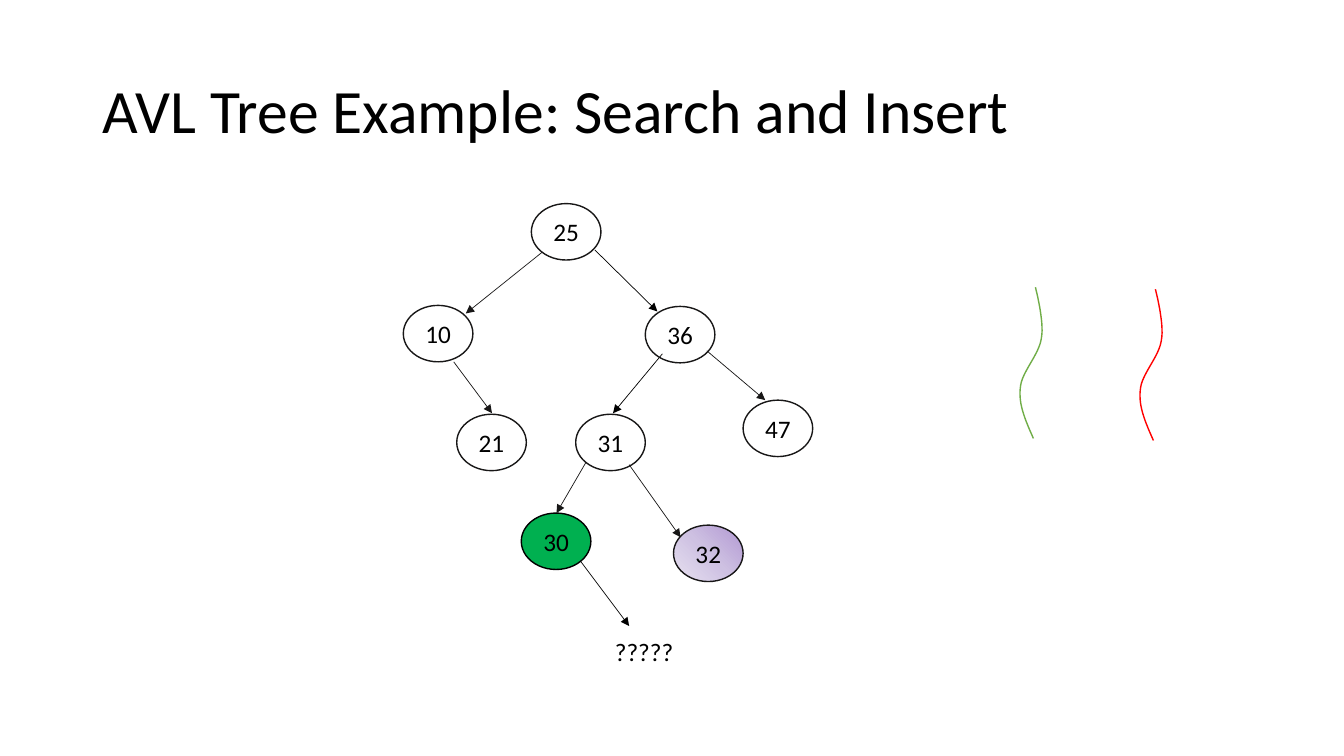
from copy import deepcopy
from pptx import Presentation
from pptx import util as u
from pptx.dml.color import RGBColor
from pptx.enum import shapes as sh, text as tx
from pptx.oxml.ns import qn
from pptx.oxml.xmlchemy import OxmlElement

BLACK = RGBColor(0, 0, 0)
INK = RGBColor(0x18, 0x17, 0x17)
GREEN = RGBColor(0x00, 0xB0, 0x50)
LEAF = RGBColor(0x70, 0xAD, 0x47)
RED = RGBColor(0xFF, 0, 0)
LILAC = [RGBColor(0xB1, 0x97, 0xD2), RGBColor(0xCE, 0xC1, 0xE2),
         RGBColor(0xE7, 0xE1, 0xF0)]
NODE_W, NODE_H = 0.69, 0.56

# Key: left, top within the tree box, fill, line colour
NODES = {
    "25": (1.27, 0, None, INK),
    "36": (2.4, 1.02, None, INK),
    "10": (0, 1.01, None, INK),
    "30": (1.17, 3.07, GREEN, BLACK),
    "32": (2.68, 3.19, LILAC, INK),
    "47": (3.37, 1.95, None, INK),
    "21": (0.53, 2.09, None, INK),
    "31": (1.71, 2.09, None, INK),
}
# Start and end within the tree box, colour
EDGES = [
    (1.38, 0.48, 0.62, 1.09, INK),
    (1.9, 0.46, 2.52, 1.07, BLACK),
    (3.01, 1.46, 3.59, 1.95, INK),
    (2.24, 2.59, 2.75, 3.31, INK),
    (2.57, 1.49, 2.08, 2.08, BLACK),
    (0.5, 1.57, 0.88, 2.08, INK),
    (1.81, 2.57, 1.52, 3.07, INK),
    (1.76, 3.55, 2.24, 4.19, BLACK),
]
# Cubic segments of a wavy stroke within its box
WAVE = [
    ((0.13, 1.5), (0.06, 1.34), (-0.02, 1.17), (0, 1)),
    ((0, 1), (0.01, 0.84), (0.19, 0.67), (0.21, 0.5)),
    ((0.21, 0.5), (0.24, 0.34), (0.15, 0), (0.15, 0)),
]


def assign(obj, vals):
    for key, val in vals.items():
        setattr(obj, key, val)


def write(frame, words, size=18, **para):
    frame.text = words
    par = frame.paragraphs[0]
    assign(par, para)
    assign(par.font, {"size": u.Pt(size), "name": "Calibri"})
    par.font.color.rgb = BLACK


def stroke(line, color, width):
    line.color.rgb = color
    line.width = u.Pt(width)


def add_title(slide, x, y, w, h):
    title = slide.shapes.title
    assign(title, {"left": u.Inches(x), "top": u.Inches(y),
                   "width": u.Inches(w), "height": u.Inches(h)})
    assign(title.text_frame, {"vertical_anchor": tx.MSO_ANCHOR.MIDDLE,
                              "auto_size": tx.MSO_AUTO_SIZE.NONE,
                              "word_wrap": True})
    write(title.text_frame, "AVL Tree Example: Search and Insert", 44,
          alignment=tx.PP_ALIGN.LEFT, line_spacing=0.9)


def shade(node, colors):
    fill = node.fill
    fill.gradient()
    stops = node._element.spPr.find(".//" + qn("a:gsLst"))
    stops.insert(1, deepcopy(stops[0]))
    for i, (stop, color) in enumerate(zip(fill.gradient_stops, colors)):
        stop.color.rgb = color
        stop.position = i / (len(colors) - 1)
    fill.gradient_angle = 225


def add_node(slide, x, y, key, fill, line):
    node = slide.shapes.add_shape(
        sh.MSO_SHAPE.OVAL, u.Inches(x), u.Inches(y),
        u.Inches(NODE_W), u.Inches(NODE_H))
    node.shadow.inherit = False
    if fill is None:
        node.fill.background()
    elif fill is LILAC:
        shade(node, fill)
    else:
        node.fill.solid()
        node.fill.fore_color.rgb = fill
    stroke(node.line, line, 1)
    node.text_frame.vertical_anchor = tx.MSO_ANCHOR.MIDDLE
    write(node.text_frame, key, alignment=tx.PP_ALIGN.CENTER)


def add_edge(slide, x1, y1, x2, y2, color):
    edge = slide.shapes.add_connector(
        sh.MSO_CONNECTOR.STRAIGHT, *map(u.Inches, (x1, y1, x2, y2)))
    stroke(edge.line, color, 0.5)
    # Arrowhead at the child, no shadow
    tip = OxmlElement("a:tailEnd")
    tip.set("type", "triangle")
    edge.line._get_or_add_ln().append(tip)
    edge._element.spPr.append(OxmlElement("a:effectLst"))


def add_tree(slide, x, y):
    for x1, y1, x2, y2, color in EDGES:
        add_edge(slide, x + x1, y + y1, x + x2, y + y2, color)
    for key, (dx, dy, fill, line) in NODES.items():
        add_node(slide, x + dx, y + dy, key, fill, line)
    # Open question below the last edge
    box = slide.shapes.add_textbox(u.Inches(x + 2), u.Inches(y + 4.24),
                                   u.Inches(1.51), u.Inches(0.4))
    box.text_frame.word_wrap = True
    write(box.text_frame, "?????")


def bezier(pts, t):
    s = 1 - t
    parts = (s ** 3, 3 * s * s * t, 3 * s * t * t, t ** 3)
    return [sum(k * p[axis] for k, p in zip(parts, pts)) for axis in (0, 1)]


def add_wave(slide, x, y, color, steps=16):
    pts = [bezier(seg, i / steps) for seg in WAVE for i in range(1, steps + 1)]
    spots = [(u.Inches(x + px), u.Inches(y + py))
             for px, py in [WAVE[0][0]] + pts]
    form = slide.shapes.build_freeform(*spots[0])
    form.add_line_segments(spots[1:], close=False)
    wave = form.convert_to_shape()
    wave.shadow.inherit = False
    wave.fill.background()
    stroke(wave.line, color, 1)


def main():
    prs = Presentation()
    assign(prs, {"slide_width": u.Inches(13.33),
                 "slide_height": u.Inches(7.5)})
    slide = prs.slides.add_slide(prs.slide_layouts[5])
    add_title(slide, 0.92, 0.4, 11.5, 1.45)
    add_tree(slide, 4, 2.02)
    # Search and insert strokes
    add_wave(slide, 10.12, 2.85, LEAF)
    add_wave(slide, 11.31, 2.87, RED)
    prs.save("out.pptx")


if __name__ == "__main__":
    main()
